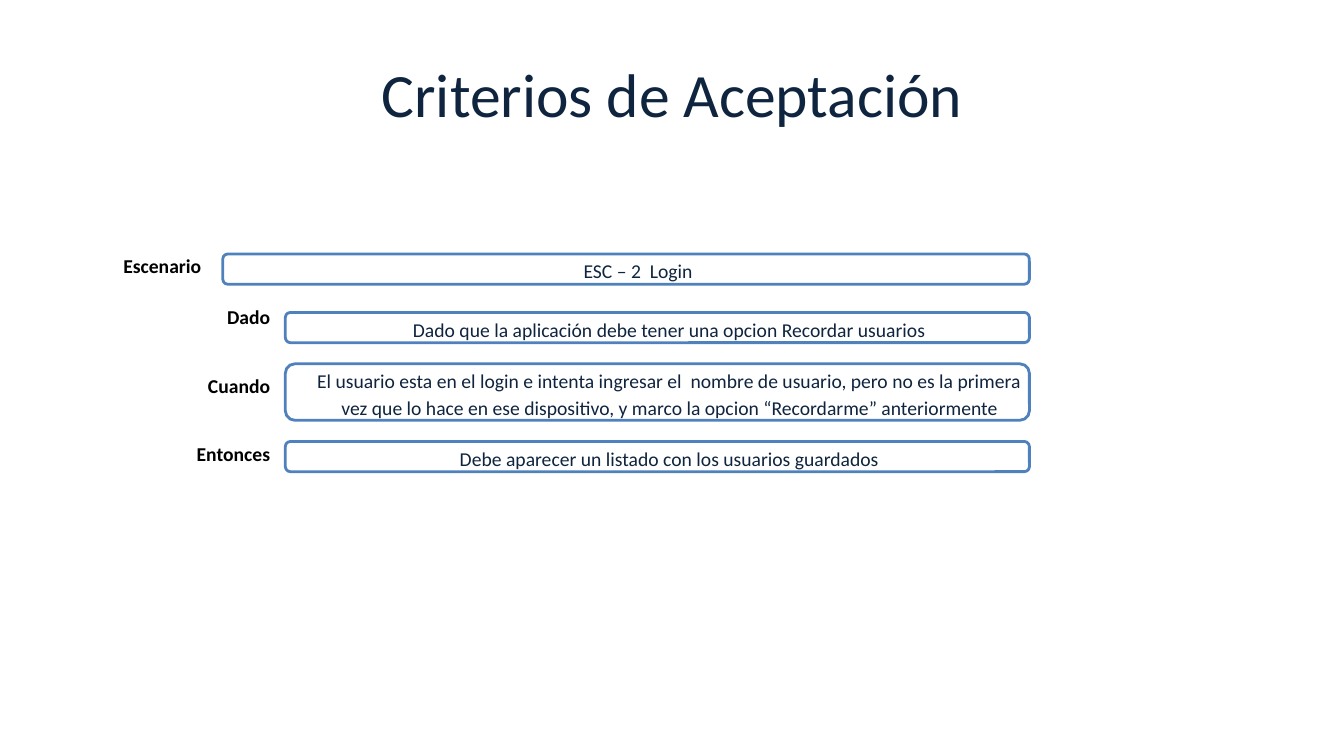
from pptx import Presentation
from pptx.dml.color import RGBColor
from pptx.enum.shapes import MSO_SHAPE
from pptx.enum.text import MSO_ANCHOR, PP_ALIGN
from pptx.util import Inches, Pt

NAVY, BLACK, WHITE, BLUE = "0F243E", "000000", "FFFFFF", "4F81BD"

COLUMN_WIDTHS = [1.18, 0.55, 7.7]
ROW_HEIGHTS = [0.46, 0.55, 0.55, 1.06]
BOX_RIGHT = 10.21

# Label, alignment, top margin, merged columns
LABELS = [
    ("Escenario", PP_ALIGN.CENTER, 0.02, (1, 2)),
    ("Dado", PP_ALIGN.RIGHT, 0.02, (0, 1)),
    ("Cuando", PP_ALIGN.RIGHT, 0.28, (0, 1)),
    ("Entonces", PP_ALIGN.RIGHT, 0.02, (0, 1)),
]

# Left, top, height, text
BOXES = [
    (2.21, 2.52, 0.3, "ESC – 2  Login"),
    (2.83, 3.1, 0.3, "Dado que la aplicación debe tener una opcion Recordar usuarios"),
    (2.83, 3.61, 0.56,
     "El usuario esta en el login e intenta ingresar el  nombre de usuario, "
     "pero no es la primera vez que lo hace en ese dispositivo, y marco la "
     "opcion “Recordarme” anteriormente"),
    (2.83, 4.38, 0.3, "Debe aparecer un listado con los usuarios guardados"),
]


def color(value):
    return RGBColor.from_string(value)


def set_margins(target, left, top, right, bottom):
    target.margin_left, target.margin_top = Inches(left), Inches(top)
    target.margin_right, target.margin_bottom = Inches(right), Inches(bottom)


def write(text_frame, text, size, font_color, alignment, bold=False, spacing=1.15):
    text_frame.text = text
    paragraph = text_frame.paragraphs[0]
    paragraph.alignment = alignment
    paragraph.line_spacing = spacing
    font = paragraph.runs[0].font
    font.name, font.size, font.bold = "Calibri", Pt(size), bold
    font.color.rgb = color(font_color)
    return paragraph


def add_title(slide, text):
    title = slide.shapes.title
    title.left, title.top = Inches(0.67), Inches(0.3)
    title.width, title.height = Inches(12), Inches(1.25)
    title.text_frame.vertical_anchor = MSO_ANCHOR.MIDDLE
    write(title.text_frame, text, 44, NAVY, PP_ALIGN.CENTER, spacing=1.0)


def add_label_table(slide):
    frame = slide.shapes.add_table(
        len(ROW_HEIGHTS), len(COLUMN_WIDTHS), Inches(1.02), Inches(2.39),
        Inches(sum(COLUMN_WIDTHS)), Inches(sum(ROW_HEIGHTS)))
    table = frame.table
    table.first_row = table.horz_banding = False
    for column, width in zip(table.columns, COLUMN_WIDTHS):
        column.width = Inches(width)
    for row, height in zip(table.rows, ROW_HEIGHTS):
        row.height = Inches(height)
    for cell in table.iter_cells():
        cell.fill.background()
    for index, (label, alignment, top, merged) in enumerate(LABELS):
        first, last = merged
        table.cell(index, first).merge(table.cell(index, last))
        cell = table.cell(index, 0)
        cell.vertical_anchor = MSO_ANCHOR.MIDDLE
        set_margins(cell, 0.07, top, 0.07, 0)
        write(cell.text_frame, label, 14, BLACK, alignment, bold=True)


def add_box(slide, left, top, height, text):
    shape = slide.shapes.add_shape(
        MSO_SHAPE.ROUNDED_RECTANGLE, Inches(left), Inches(top),
        Inches(BOX_RIGHT - left), Inches(height))
    shape.shadow.inherit = False
    shape.fill.solid()
    shape.fill.fore_color.rgb = color(WHITE)
    shape.line.color.rgb = color(BLUE)
    shape.line.width = Pt(2)
    text_frame = shape.text_frame
    text_frame.word_wrap = True
    text_frame.vertical_anchor = MSO_ANCHOR.MIDDLE
    set_margins(text_frame, 0, 0, 0, 0)
    paragraph = write(text_frame, text, 14, NAVY, PP_ALIGN.CENTER)
    # Paragraph indent
    properties = paragraph._p.get_or_add_pPr()
    properties.set("marL", str(Inches(0.25)))
    properties.set("indent", str(Inches(-0.01)))


def main():
    presentation = Presentation()
    presentation.slide_width = Inches(13.33)
    presentation.slide_height = Inches(7.5)
    slide = presentation.slides.add_slide(presentation.slide_layouts[5])

    # Title and step labels
    add_title(slide, "Criterios de Aceptación")
    add_label_table(slide)

    # Step descriptions
    for box in BOXES:
        add_box(slide, *box)

    presentation.save("out.pptx")


if __name__ == "__main__":
    main()
